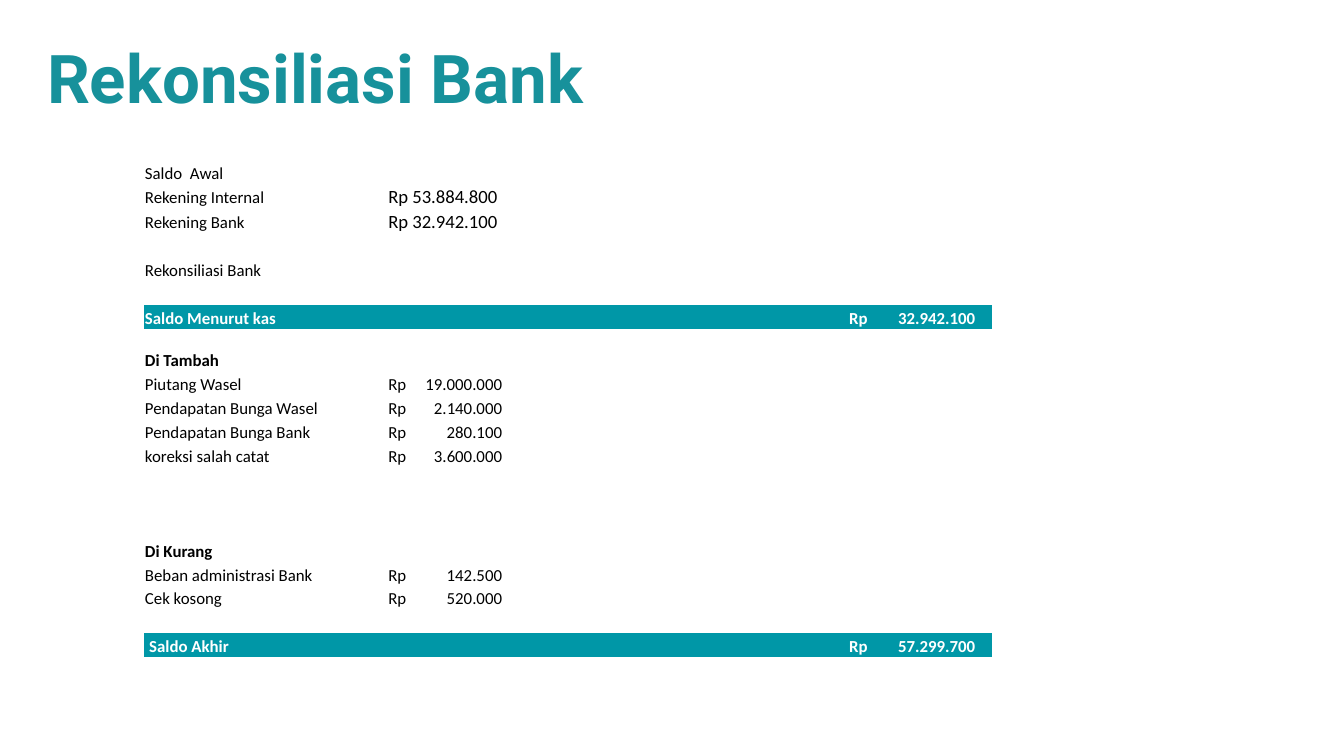
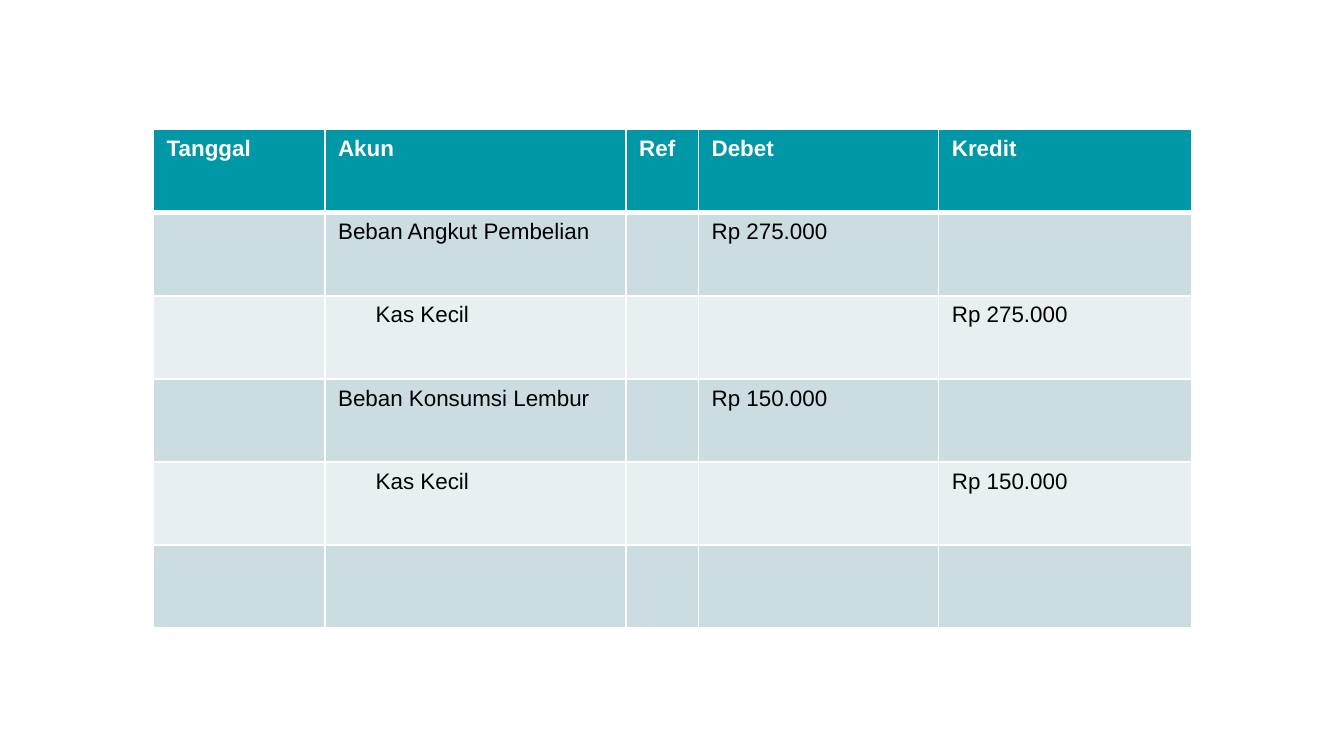
from dataclasses import dataclass

from lxml import etree
from pptx import Presentation
from pptx.dml.color import RGBColor
from pptx.enum.text import MSO_ANCHOR, PP_ALIGN
from pptx.oxml.ns import qn
from pptx.util import Cm, Pt

LEFT = PP_ALIGN.LEFT
TOP = MSO_ANCHOR.TOP
BOTTOM = MSO_ANCHOR.BOTTOM
TITLE_ONLY, BLANK = 5, 6
NO_STYLE = "{2D5ABB26-0587-4C30-8999-92F81FD0307C}"


@dataclass(frozen=True)
class Theme:
    title: str = "17919B"
    accent: str = "0097A7"
    band_dark: str = "CCDDE1"
    band_light: str = "E7EFF1"
    white: str = "FFFFFF"
    black: str = "000000"
    title_font: str = "Roboto"
    ledger_font: str = "Calibri"
    journal_font: str = "Arial"
    title_size: int = 36
    ledger_size: int = 9
    opening_size: int = 10
    journal_size: int = 12


THEME = Theme()

# Ledger rows: label, amount in the second column
OPENING = [("Rekening Internal", "Rp 53.884.800"), ("Rekening Bank", "Rp 32.942.100")]
ADDITIONS = [
    ("Piutang Wasel", "19.000.000"),
    ("Pendapatan Bunga Wasel", "2.140.000"),
    ("Pendapatan Bunga Bank", "280.100"),
    ("koreksi salah catat", "3.600.000"),
]
DEDUCTIONS = [("Beban administrasi Bank", "142.500"), ("Cek kosong", "520.000")]

JOURNAL_HEAD = ["Tanggal", "Akun", "Ref", "Debet", "Kredit"]
ENTRIES = [("Beban Angkut Pembelian", "Rp 275.000"), ("Beban Konsumsi Lembur", "Rp 150.000")]


def write(tf, text, *, font, size, color, bold=False, tab=None):
    """Write one paragraph; tab is the position of a right-aligned tab stop."""
    p = tf.paragraphs[0]
    p.alignment = LEFT
    if tab is not None:
        stops = etree.SubElement(p._p.get_or_add_pPr(), qn("a:tabLst"))
        etree.SubElement(stops, qn("a:tab"), pos=str(int(tab)), algn="r")
    if not text:
        p._p.get_or_add_endParaRPr().set("sz", str(size * 100))
        return
    r = p.add_run()
    r.text = text
    r.font.name = font
    r.font.size = Pt(size)
    r.font.bold = bold
    r.font.color.rgb = RGBColor.from_string(color)


def set_margins(box, left, top, right, bottom):
    box.margin_left, box.margin_top = Cm(left), Cm(top)
    box.margin_right, box.margin_bottom = Cm(right), Cm(bottom)


def fill_cell(cell, color):
    if color:
        cell.fill.solid()
        cell.fill.fore_color.rgb = RGBColor.from_string(color)
    else:
        cell.fill.background()


def set_borders(cell, color, **widths):
    """Draw the sides L, R, T and B, with widths in points."""
    tcPr = cell._tc.get_or_add_tcPr()
    for side in "LRTB":
        ln = etree.SubElement(tcPr, qn(f"a:ln{side}"), w=str(Pt(widths[side])))
        fill = etree.SubElement(ln, qn("a:solidFill"))
        etree.SubElement(fill, qn("a:srgbClr"), val=color)


def add_title(s, text):
    title = s.shapes.title
    title.left, title.top, title.width, title.height = Cm(0.86), Cm(0.66), Cm(23.7), Cm(1.57)
    tf = title.text_frame
    tf.word_wrap = True
    tf.vertical_anchor = TOP
    set_margins(tf, 0.03, 0.03, 0, 0)
    write(tf, text, font=THEME.title_font, size=THEME.title_size, color=THEME.title, bold=True)


def add_plain_table(s, left, top, widths, heights):
    frame = s.shapes.add_table(len(heights), len(widths), Cm(left), Cm(top),
                               Cm(sum(widths)), Cm(sum(heights)))
    table = frame.table
    table.first_row = table.horz_banding = False
    table._tbl.tblPr.find(qn("a:tableStyleId")).text = NO_STYLE
    for col, width in zip(table.columns, widths):
        col.width = Cm(width)
    for row, height in zip(table.rows, heights):
        row.height = Cm(height)
    return table


def ledger_rows():
    """Return (label, amount, total, kind) for every row of the reconciliation."""
    gap = ("", "", "", "item")

    def items(entries):
        return [(label, f"Rp\t{amount}", "", "item") for label, amount in entries]

    return [
        gap,
        ("Saldo  Awal", "", "", "item"),
        *[(label, amount, "", "opening") for label, amount in OPENING],
        gap,
        ("Rekonsiliasi Bank", "", "", "item"),
        gap,
        ("Saldo Menurut kas", "", "Rp\t32.942.100", "total"),
        ("Di Tambah", "", "", "first_heading"),
        *items(ADDITIONS),
        gap, gap, gap,
        ("Di Kurang", "", "", "heading"),
        *items(DEDUCTIONS),
        gap,
        ("Saldo Akhir", "", "Rp\t57.299.700", "total"),
    ]


def add_ledger(s):
    rows = ledger_rows()
    row_heights = {"opening": 0.47, "first_heading": 0.81}
    heights = [row_heights.get(kind, 0.45) for *_, kind in rows]
    table = add_plain_table(s, 2.72, 2.57, [4.52, 2.59, 2.39, 2.18, 1.55, 2.79], heights)
    tabs = {1: Cm(2.15), 5: Cm(2.38)}
    for i, (label, amount, total, kind) in enumerate(rows):
        is_total = kind == "total"
        for j, text in enumerate([label, amount, "", "", "", total]):
            cell = table.cell(i, j)
            indented = j > 0 or label == "Saldo Akhir"
            set_margins(cell, 0.1 if indented else 0.02, 0.02, 0.02, 0)
            cell.vertical_anchor = BOTTOM
            fill_cell(cell, THEME.accent if is_total else None)
            write(cell.text_frame, text, font=THEME.ledger_font,
                  size=THEME.opening_size if kind == "opening" and j == 1 else THEME.ledger_size,
                  color=THEME.white if is_total else THEME.black,
                  bold=is_total or "heading" in kind,
                  tab=tabs[j] if "\t" in text else None)


def add_journal(s):
    rows = [JOURNAL_HEAD]
    for account, amount in ENTRIES:
        rows += [["", account, "", amount, ""], ["", "Kas Kecil", "", "", amount]]
    rows.append([""] * len(JOURNAL_HEAD))
    table = add_plain_table(s, 2.9, 2.45, [3.24, 5.69, 1.37, 4.54, 4.78], [1.57] * len(rows))
    for i, row in enumerate(rows):
        is_head = i == 0
        band = THEME.band_dark if i % 2 else THEME.band_light
        for j, text in enumerate(row):
            cell = table.cell(i, j)
            set_margins(cell, 0.96 if text == "Kas Kecil" else 0.25, 0.13, 0.25, 0.13)
            cell.vertical_anchor = TOP
            set_borders(cell, THEME.white, L=1, R=1, T=3 if i == 1 else 1, B=3 if is_head else 1)
            fill_cell(cell, THEME.accent if is_head else band)
            write(cell.text_frame, text, font=THEME.journal_font, size=THEME.journal_size,
                  color=THEME.white if is_head else THEME.black, bold=is_head)


def main():
    prs = Presentation()
    prs.slide_width, prs.slide_height = Cm(25.4), Cm(14.29)

    s = prs.slides.add_slide(prs.slide_layouts[TITLE_ONLY])
    add_title(s, "Rekonsiliasi Bank")
    add_ledger(s)

    s = prs.slides.add_slide(prs.slide_layouts[BLANK])
    add_journal(s)

    prs.save("out.pptx")


if __name__ == "__main__":
    main()
